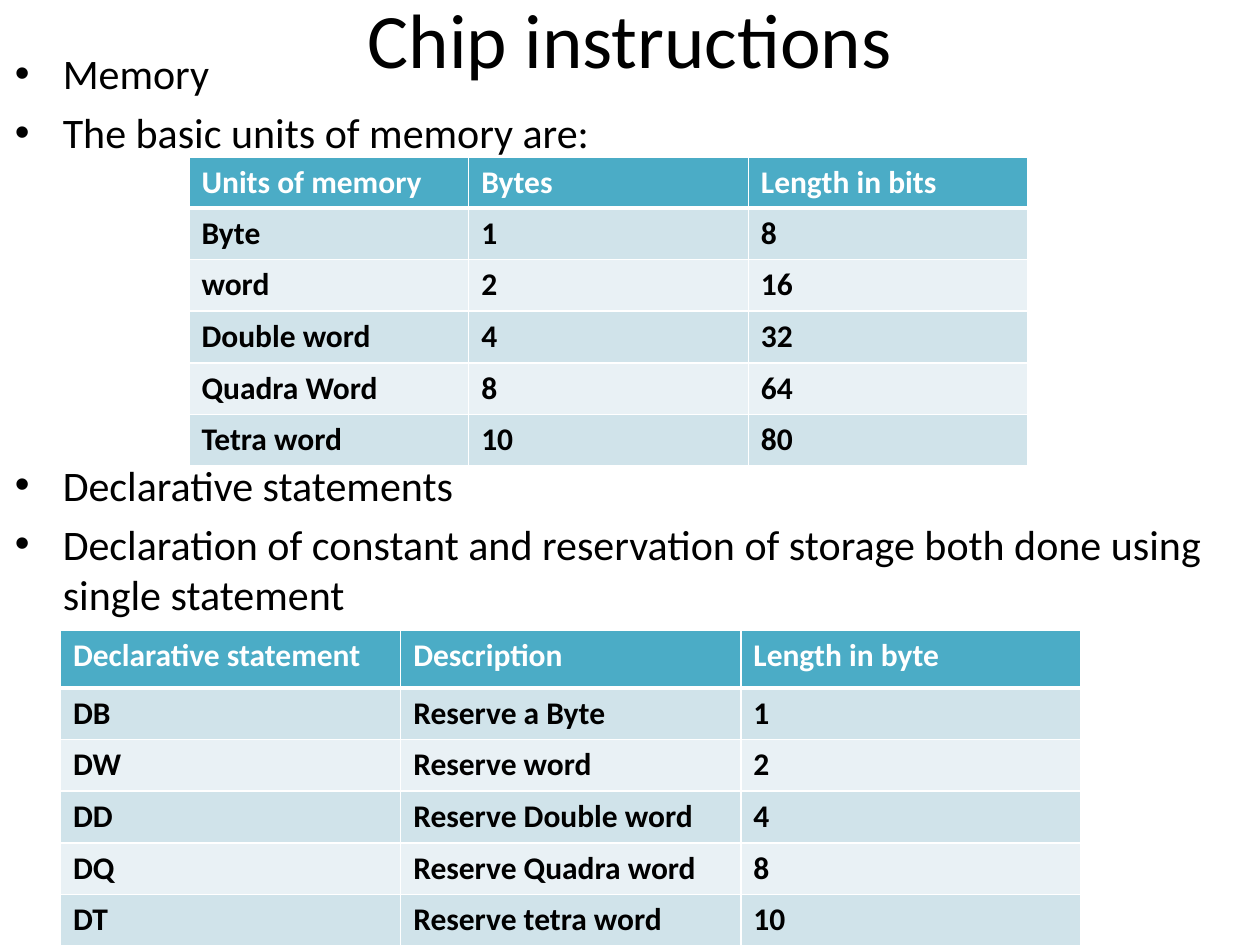
import pptx
import pptx.dml.color
import pptx.enum.text
import pptx.oxml
import pptx.oxml.ns
import pptx.util
from pptx.util import Inches

RGBColor = pptx.dml.color.RGBColor
BLACK = RGBColor(0x00, 0x00, 0x00)
WHITE = RGBColor(0xFF, 0xFF, 0xFF)
HEADER_TEAL = RGBColor(0x4B, 0xAC, 0xC6)
BANDS = (RGBColor(0xD0, 0xE3, 0xEA), RGBColor(0xE9, 0xF1, 0xF5))

MEMORY_UNITS = [
    ("Units of memory", "Bytes", "Length in bits"),
    ("Byte", "1", "8"),
    ("word", "2", "16"),
    ("Double word", "4", "32"),
    ("Quadra Word", "8", "64"),
    ("Tetra word", "10", "80"),
]
DECLARATIONS = [
    ("Declarative statement", "Description", "Length in byte"),
    ("DB", "Reserve a Byte", "1"),
    ("DW", "Reserve word", "2"),
    ("DD", "Reserve Double word", "4"),
    ("DQ", "Reserve Quadra word", "8"),
    ("DT", "Reserve tetra word", "10"),
]
# Each bullet with its space before, in points; the large one clears the table.
BULLETS = [
    ("Memory", 5),
    ("The basic units of memory are:", 5),
    ("Declarative statements", 172.5),
    ("Declaration of constant and reservation of storage both done using "
     "single statement", 5),
]


def set_font(paragraph, size, color, bold=False):
    font = paragraph.font
    font.name = "Calibri"
    font.size = pptx.util.Pt(size)
    font.color.rgb = color
    font.bold = bold


def add_text_frame(slide, left, top, width, height):
    box = slide.shapes.add_textbox(
        Inches(left), Inches(top), Inches(width), Inches(height))
    box.text_frame.word_wrap = True
    return box.text_frame


def add_title(slide, text):
    frame = add_text_frame(slide, 0.5, -0.33, 9, 1.25)
    frame.vertical_anchor = pptx.enum.text.MSO_ANCHOR.MIDDLE
    title = frame.paragraphs[0]
    title.text = text
    title.alignment = pptx.enum.text.PP_ALIGN.CENTER
    set_font(title, 44, BLACK)


def make_bullet(paragraph):
    """Give the paragraph a hanging indent and a round bullet."""
    properties = paragraph._p.get_or_add_pPr()
    indent = Inches(0.38)
    properties.set("marL", str(indent))
    properties.set("indent", str(-indent))
    for tag, attribute, value in (("a:buFont", "typeface", "Arial"),
                                  ("a:buChar", "char", "•")):
        element = pptx.oxml.parse_xml(
            f'<{tag} {pptx.oxml.ns.nsdecls("a")} {attribute}="{value}"/>')
        properties.append(element)


def add_bullets(slide, bullets):
    frame = add_text_frame(slide, 0.02, 0.33, 9.73, 7)
    for index, (text, space_before) in enumerate(bullets):
        bullet = frame.add_paragraph() if index else frame.paragraphs[0]
        bullet.text = text
        bullet.space_before = pptx.util.Pt(space_before)
        make_bullet(bullet)
        set_font(bullet, 24, BLACK)


def set_borders(cell, bottom_width, top_width):
    """Draw white borders; they must precede the fill in the cell properties."""
    properties = cell._tc.get_or_add_tcPr()
    widths = {"lnL": 1, "lnR": 1, "lnT": top_width, "lnB": bottom_width}
    for position, (side, width) in enumerate(widths.items()):
        border = pptx.oxml.parse_xml(
            f'<a:{side} {pptx.oxml.ns.nsdecls("a")} w="{pptx.util.Pt(width)}">'
            f'<a:solidFill><a:srgbClr val="{WHITE}"/></a:solidFill></a:{side}>')
        properties.insert(position, border)


def add_banded_table(slide, rows, left, top, column_width, header_height,
                     row_height):
    columns = len(rows[0])
    heights = [header_height] + [row_height] * (len(rows) - 1)
    table = slide.shapes.add_table(
        len(rows), columns, Inches(left), Inches(top),
        Inches(column_width * columns), Inches(sum(heights))).table
    for column in table.columns:
        column.width = Inches(column_width)
    for r, (values, height) in enumerate(zip(rows, heights)):
        table.rows[r].height = Inches(height)
        is_header = r == 0
        for c, value in enumerate(values):
            cell = table.cell(r, c)
            cell.text = value
            cell.fill.solid()
            cell.fill.fore_color.rgb = (
                HEADER_TEAL if is_header else BANDS[(r - 1) % 2])
            set_font(cell.text_frame.paragraphs[0], 18,
                     WHITE if is_header else BLACK, bold=True)
            set_borders(cell, bottom_width=3 if is_header else 1,
                        top_width=3 if r == 1 else 1)


def main():
    presentation = pptx.Presentation()
    presentation.slide_width = Inches(10)
    presentation.slide_height = Inches(7.5)
    slide = presentation.slides.add_slide(presentation.slide_layouts[6])
    add_title(slide, "Chip instructions")
    add_bullets(slide, BULLETS)
    add_banded_table(slide, MEMORY_UNITS, 1.5, 1.25, 2.22, 0.4, 0.41)
    add_banded_table(slide, DECLARATIONS, 0.48, 5, 2.7, 0.46, 0.41)
    presentation.save("out.pptx")


if __name__ == "__main__":
    main()
